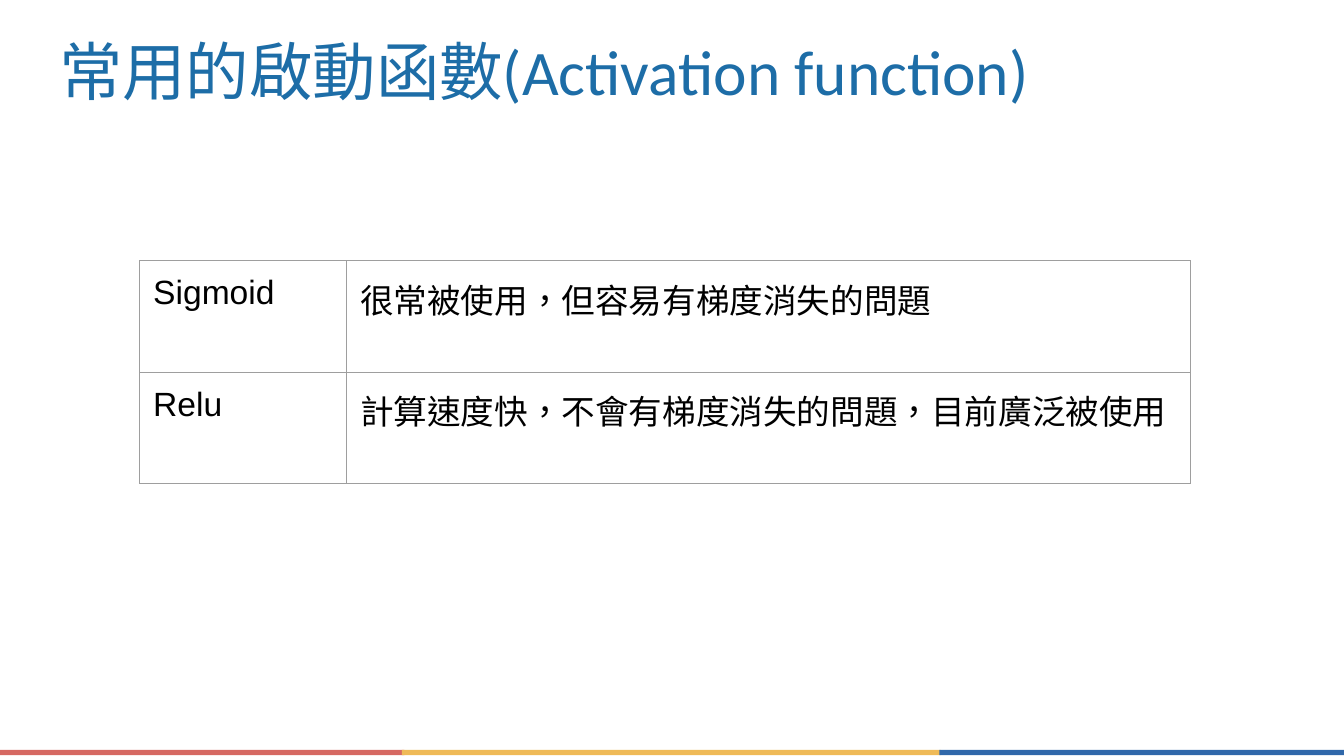
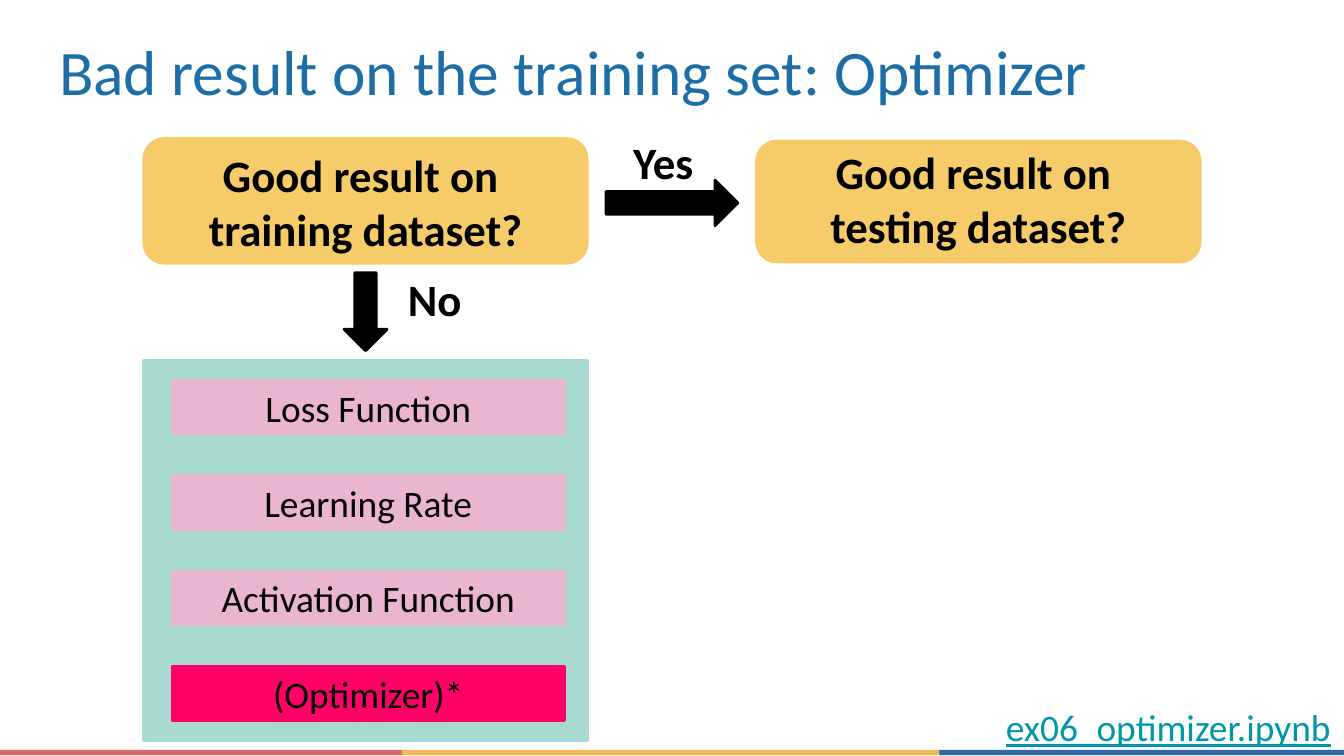
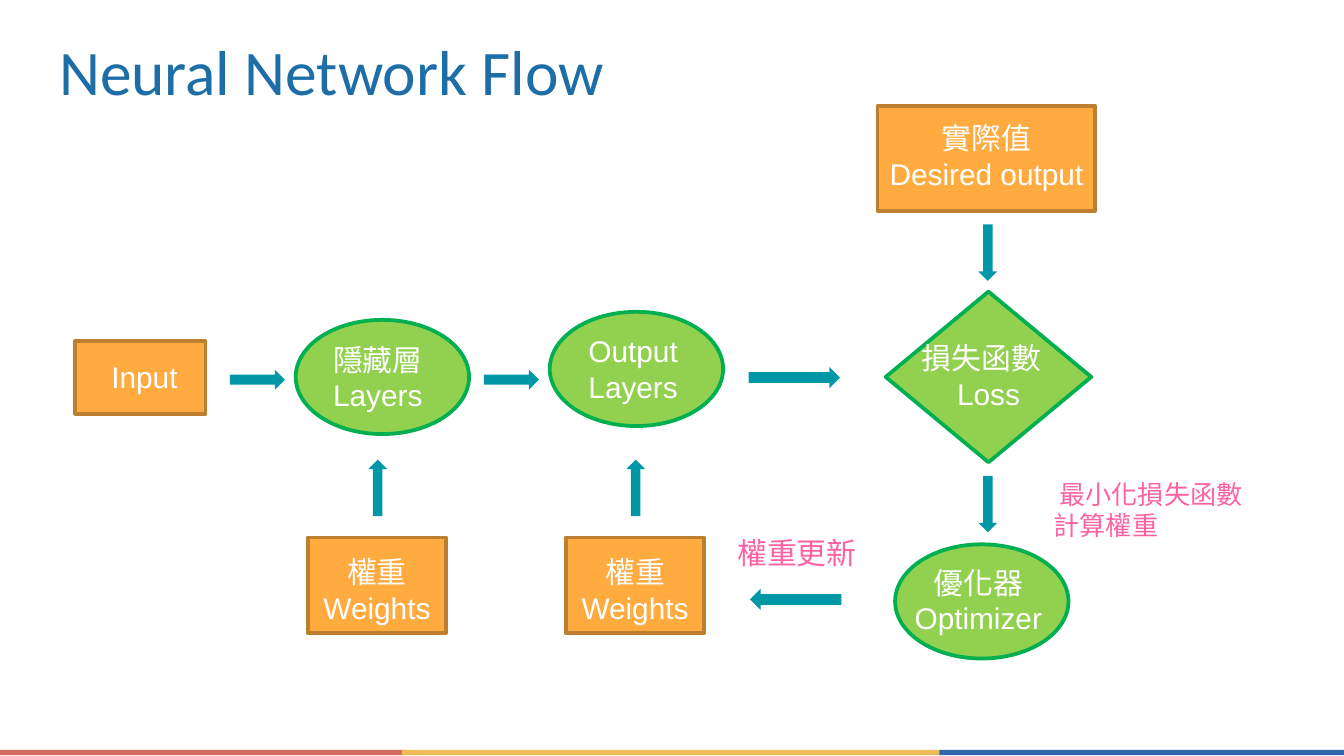
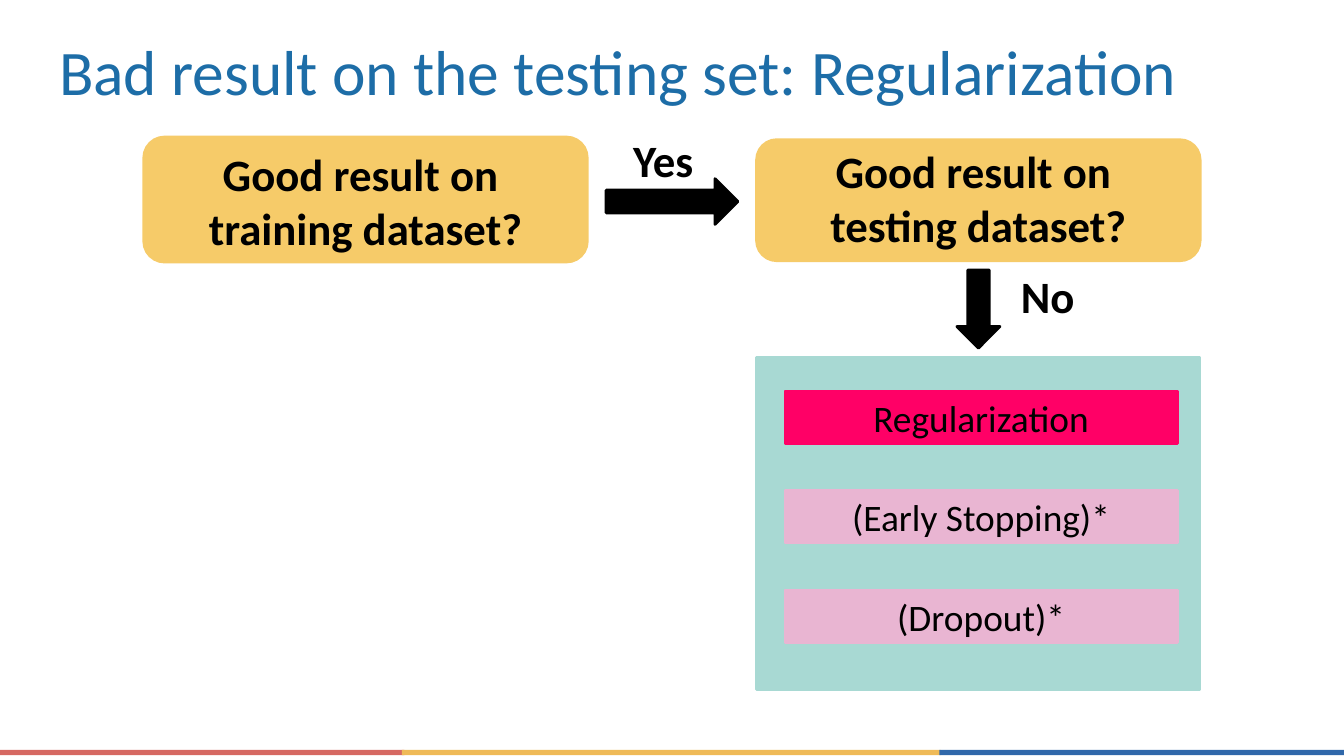
from dataclasses import dataclass
from typing import Any, NamedTuple, Optional

from lxml import etree
from pptx import Presentation
from pptx.dml.color import RGBColor
from pptx.enum import lang, shapes, text
from pptx.oxml import ns
from pptx.util import Emu, Pt

PX = 9144
SHAPE = shapes.MSO_SHAPE
ALIGN = text.PP_ALIGN
ANCHOR = text.MSO_ANCHOR


class TextStyle(NamedTuple):
    font: str
    size: int
    color: str
    bold: bool = False
    underline: bool = False


class Paint(NamedTuple):
    fill: str
    line: Optional[str] = None
    width: float = 1.5


class Frame(NamedTuple):
    left: int
    top: int
    width: int
    height: int


class Line(NamedTuple):
    wording: str
    align: Any = ALIGN.CENTER


class Node(NamedTuple):
    kind: Any
    frame: Frame
    paint: Paint
    label_frame: Frame
    lines: list[Line]


class Arrow(NamedTuple):
    frame: Frame
    rotation: int = 0


class Step(NamedTuple):
    name: str
    current: bool = False


@dataclass(frozen=True)
class Theme:
    title: TextStyle = TextStyle("Calibri", 34, "1D6DA7")
    question: TextStyle = TextStyle("Calibri", 24, "000000", bold=True)
    step: TextStyle = TextStyle("Calibri", 20, "000000")
    file: TextStyle = TextStyle("Calibri", 20, "0097A7", underline=True)
    cell: TextStyle = TextStyle("Arial", 18, "000000")
    node: TextStyle = TextStyle("Arial", 16, "FFFFFF")
    update: TextStyle = TextStyle("Arial", 16, "FF62A2")
    remark: TextStyle = TextStyle("Arial", 14, "FF62A2")
    card: Paint = Paint("F6CB69", "F6CB69")
    decision: Paint = Paint("000000", "000000")
    panel: Paint = Paint("A8D9D3", "A8D9D3")
    plain_step: Paint = Paint("E9B5D2", "E9B5D2")
    current_step: Paint = Paint("FF0066", "FF0066")
    value: Paint = Paint("FFAB40", "BD7F2F", 2)
    process: Paint = Paint("92D050", "00B050", 2)
    flow: Paint = Paint("0097A7")
    bands: tuple[str, ...] = ("D66962", "EFBA57", "3068AA")
    table_border: str = "9E9E9E"


THEME = Theme()


def px(length: int) -> Emu:
    return Emu(length * PX)


def set_values(target: Any, values: dict[str, Any]) -> None:
    for name, value in values.items():
        setattr(target, name, value)


def frame_values(frame: Frame) -> dict[str, Emu]:
    return {name: px(value) for name, value in frame._asdict().items()}


def write_lines(
    text_frame: Any,
    lines: list[Line],
    style: TextStyle,
    anchor: Any = ANCHOR.MIDDLE,
    inset: int = 5,
) -> None:
    set_values(text_frame, {
        "word_wrap": True,
        "auto_size": text.MSO_AUTO_SIZE.NONE,
        "vertical_anchor": anchor,
        "margin_left": px(10),
        "margin_right": px(10),
        "margin_top": px(inset),
        "margin_bottom": px(inset),
    })
    write_paragraphs(text_frame, lines, style)


def write_paragraphs(text_frame: Any, lines: list[Line], style: TextStyle) -> None:
    for index, line in enumerate(lines):
        paragraph = text_frame.add_paragraph() if index else text_frame.paragraphs[0]
        paragraph.text = line.wording
        paragraph.alignment = line.align
        for run in paragraph.runs:
            set_values(run.font, {
                "name": style.font,
                "size": Pt(style.size),
                "bold": style.bold,
                "underline": style.underline,
                "language_id": lang.MSO_LANGUAGE_ID.TRADITIONAL_CHINESE,
            })
            run.font.color.rgb = RGBColor.from_string(style.color)


def add_figure(slide: Any, kind: Any, frame: Frame, paint: Paint, rotation: int = 0) -> Any:
    shape = slide.shapes.add_shape(kind, *map(px, frame))
    shape.shadow.inherit = False
    shape.rotation = rotation
    shape.fill.solid()
    shape.fill.fore_color.rgb = RGBColor.from_string(paint.fill)
    if paint.line:
        shape.line.color.rgb = RGBColor.from_string(paint.line)
        shape.line.width = Pt(paint.width)
    else:
        shape.line.fill.background()
    return shape


def add_label(
    slide: Any,
    frame: Frame,
    lines: list[Line],
    style: TextStyle,
    anchor: Any = ANCHOR.MIDDLE,
    inset: int = 5,
) -> None:
    box = slide.shapes.add_textbox(*map(px, frame))
    write_lines(box.text_frame, lines, style, anchor, inset)


def add_titled_slide(presentation: Any, title: str) -> Any:
    slide = presentation.slides.add_slide(presentation.slide_layouts[5])
    placeholder = slide.shapes.title
    set_values(placeholder, frame_values(Frame(34, 20, 932, 64)))
    write_lines(placeholder.text_frame, [Line(title, ALIGN.LEFT)], THEME.title, inset=10)
    return slide


def add_master_bands(presentation: Any, slide: Any) -> None:
    master_tree = presentation.slide_master.shapes.element
    spans = ((0, 301), (299, 401), (699, 301))
    for index, ((left, width), color) in enumerate(zip(spans, THEME.bands)):
        band = add_figure(slide, SHAPE.RECTANGLE, Frame(left, 558, width, 4), Paint(color))
        band.element.nvSpPr.cNvPr.set("id", str(101 + index))
        master_tree.append(band.element)


def format_cell(cell: Any, wording: str) -> None:
    set_values(cell, {
        f"margin_{side}": px(10) for side in ("left", "right", "top", "bottom")
    })
    cell.fill.background()
    write_paragraphs(cell.text_frame, [Line(wording, ALIGN.LEFT)], THEME.cell)
    properties = cell._tc.get_or_add_tcPr()
    for index, side in enumerate("LRTB"):
        border = etree.Element(ns.qn(f"a:ln{side}"), w=str(Pt(0.75)))
        fill = etree.SubElement(border, ns.qn("a:solidFill"))
        etree.SubElement(fill, ns.qn("a:srgbClr"), val=THEME.table_border)
        properties.insert(index, border)


def add_function_table(slide: Any) -> None:
    rows = [
        ("Sigmoid", "很常被使用，但容易有梯度消失的問題"),
        ("Relu", "計算速度快，不會有梯度消失的問題，目前廣泛被使用"),
    ]
    table = slide.shapes.add_table(2, 2, *map(px, Frame(104, 194, 782, 166))).table
    set_values(table, {"first_row": False, "horz_banding": False})
    for column, width in zip(table.columns, (154, 628)):
        column.width = px(width)
    for row, wordings in zip(table.rows, rows):
        row.height = px(83)
        for cell, wording in zip(row.cells, wordings):
            format_cell(cell, wording)


def add_questions(slide: Any, top: int) -> None:
    cards = [
        (Frame(107, top, 330, 93), Frame(107, top + 1, 330, 92), "training"),
        (Frame(563, top + 2, 330, 90), Frame(563, top, 330, 90), "testing"),
    ]
    for frame, label_frame, dataset in cards:
        card = add_figure(slide, SHAPE.ROUNDED_RECTANGLE, frame, THEME.card)
        card.adjustments[0] = 0.167
        question = f"Good result on \n{dataset} dataset?"
        add_label(slide, label_frame, [Line(question)], THEME.question)
    add_figure(slide, SHAPE.RIGHT_ARROW, Frame(451, top + 31, 98, 34), THEME.decision)
    add_label(slide, Frame(458, top, 71, 34), [Line("Yes")], THEME.question)


def add_remedies(
    slide: Any,
    panel: Frame,
    first_top: int,
    pitch: int,
    step_height: int,
    steps: list[Step],
) -> None:
    arrow = Frame(panel.left + 136, panel.top - 52, 58, 32)
    add_figure(slide, SHAPE.RIGHT_ARROW, arrow, THEME.decision, 90)
    add_label(slide, Frame(panel.left + 181, panel.top - 63, 71, 34), [Line("No")], THEME.question)
    add_figure(slide, SHAPE.RECTANGLE, panel, THEME.panel)
    for index, step in enumerate(steps):
        frame = Frame(panel.left + 21, first_top + index * pitch, 292, step_height)
        paint = THEME.current_step if step.current else THEME.plain_step
        shape = add_figure(slide, SHAPE.RECTANGLE, frame, paint)
        write_lines(shape.text_frame, [Line(step.name)], THEME.step)


def add_network_flow(slide: Any) -> None:
    left = ALIGN.LEFT
    weights = [Line("權重"), Line("Weights")]
    nodes = [
        Node(SHAPE.RECTANGLE, Frame(56, 254, 97, 54), THEME.value,
             Frame(73, 262, 79, 37), [Line("Input", left)]),
        Node(SHAPE.OVAL, Frame(220, 238, 129, 85), THEME.process,
             Frame(238, 249, 103, 64), [Line("隱藏層", left), Line("Layers", left)]),
        Node(SHAPE.OVAL, Frame(409, 232, 129, 85), THEME.process,
             Frame(428, 243, 92, 64), [Line("Output", left), Line("Layers", left)]),
        Node(SHAPE.DIAMOND, Frame(659, 217, 153, 127), THEME.process,
             Frame(676, 248, 119, 64), [Line("損失函數", left), Line("Loss")]),
        Node(SHAPE.RECTANGLE, Frame(229, 400, 103, 71), THEME.value,
             Frame(225, 407, 111, 64), weights),
        Node(SHAPE.RECTANGLE, Frame(421, 400, 103, 71), THEME.value,
             Frame(418, 407, 109, 64), weights),
        Node(SHAPE.OVAL, Frame(666, 405, 129, 85), THEME.process,
             Frame(670, 415, 116, 64), [Line("優化器"), Line("Optimizer")]),
        Node(SHAPE.RECTANGLE, Frame(653, 79, 162, 78), THEME.value,
             Frame(643, 84, 182, 64), [Line("實際值"), Line("Desired output")]),
    ]
    arrows = [
        Arrow(Frame(171, 275, 41, 15)),
        Arrow(Frame(360, 275, 41, 15)),
        Arrow(Frame(557, 273, 68, 16)),
        Arrow(Frame(558, 438, 68, 16), 180),
        Arrow(Frame(714, 181, 42, 14), 90),
        Arrow(Frame(714, 368, 42, 14), 90),
        Arrow(Frame(260, 356, 42, 14), 270),
        Arrow(Frame(452, 356, 42, 14), 270),
    ]
    for node in nodes:
        add_figure(slide, node.kind, node.frame, node.paint)
        add_label(slide, node.label_frame, node.lines, THEME.node, ANCHOR.TOP)
    for arrow in arrows:
        add_figure(slide, SHAPE.RIGHT_ARROW, arrow.frame, THEME.flow, arrow.rotation)
    add_label(slide, Frame(533, 393, 120, 37), [Line("權重更新")], THEME.update, ANCHOR.TOP)
    remark = [Line("最小化損失函數"), Line("計算權重", left)]
    add_label(slide, Frame(774, 351, 165, 57), remark, THEME.remark, ANCHOR.TOP)


def main() -> None:
    presentation = Presentation()
    slide_width = px(1000)
    set_values(presentation, {
        "slide_width": slide_width,
        "slide_height": Emu(slide_width * 9 // 16),
    })

    activation = add_titled_slide(presentation, "常用的啟動函數(Activation function)")
    add_master_bands(presentation, activation)
    add_function_table(activation)

    optimizer = add_titled_slide(presentation, "Bad result on the training set: Optimizer")
    add_questions(optimizer, 103)
    add_remedies(optimizer, Frame(107, 268, 330, 283), 283, 71, 40, [
        Step("Loss Function"),
        Step("Learning Rate"),
        Step("Activation Function"),
        Step("(Optimizer)*", current=True),
    ])
    notebook = [Line("ex06_optimizer.ipynb", ALIGN.RIGHT)]
    add_label(optimizer, Frame(731, 514, 269, 45), notebook, THEME.file, ANCHOR.TOP, 10)

    network = add_titled_slide(presentation, "Neural Network Flow")
    add_network_flow(network)

    regularization = add_titled_slide(
        presentation, "Bad result on the testing set: Regularization"
    )
    add_questions(regularization, 102)
    add_remedies(regularization, Frame(563, 266, 330, 247), 291, 74, 39, [
        Step("Regularization", current=True),
        Step("(Early Stopping)*"),
        Step("(Dropout)*"),
    ])

    presentation.save("out.pptx")


if __name__ == "__main__":
    main()
